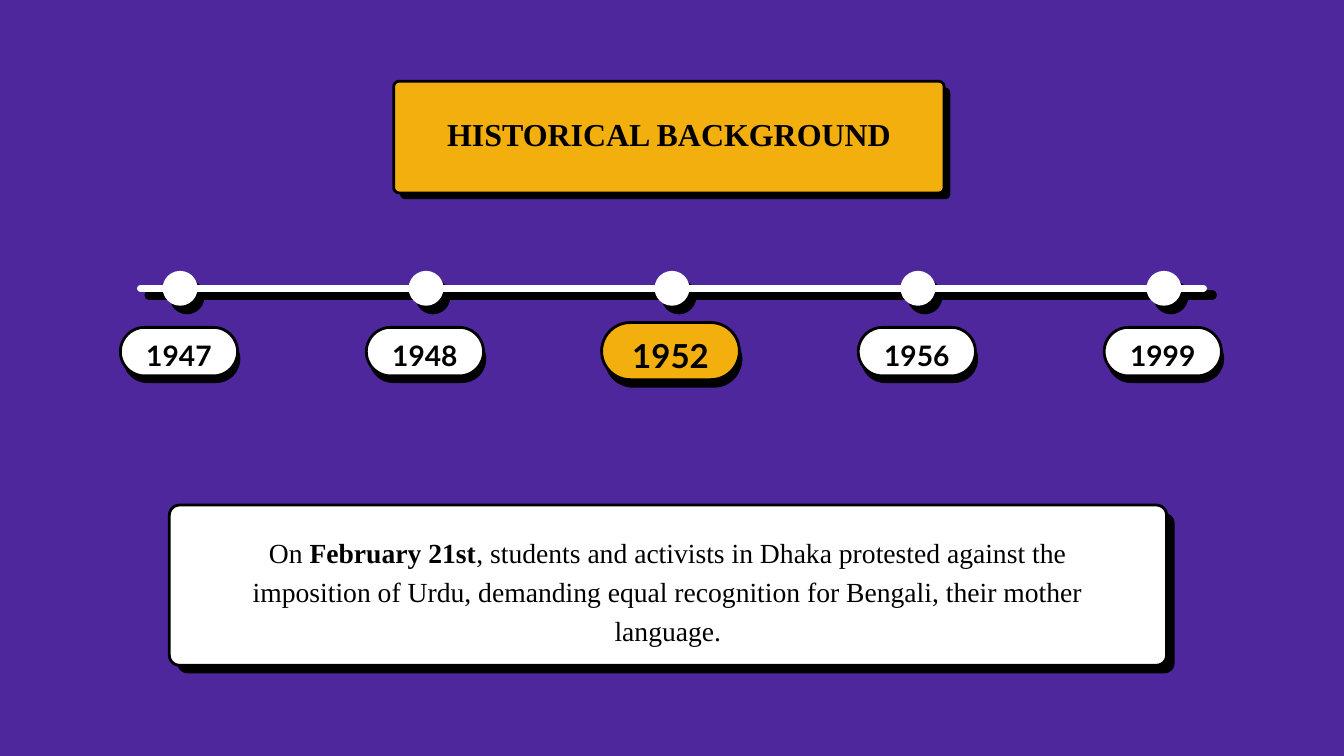
"""Build a timeline slide on the historical background of the language movement."""
from dataclasses import dataclass

from lxml import etree
from pptx import Presentation
from pptx.dml.color import RGBColor
from pptx.enum.shapes import MSO_CONNECTOR, MSO_SHAPE
from pptx.enum.text import PP_ALIGN
from pptx.oxml.ns import qn
from pptx.util import Pt

STRAIGHT = MSO_CONNECTOR.STRAIGHT
OVAL = MSO_SHAPE.OVAL
ROUNDED = MSO_SHAPE.ROUNDED_RECTANGLE
CENTER = PP_ALIGN.CENTER


@dataclass(frozen=True)
class Theme:
    purple: RGBColor = RGBColor(0x4F, 0x27, 0x9D)
    amber: RGBColor = RGBColor(0xF3, 0xAF, 0x0E)
    white: RGBColor = RGBColor(0xFF, 0xFF, 0xFF)
    black: RGBColor = RGBColor(0, 0, 0)
    serif: str = "Times New Roman"
    sans: str = "Lato"
    title_size: float = 34.2
    body_size: float = 29.6
    year_size: float = 30.2
    key_year_size: float = 35.4
    outline: float = 3


@dataclass(frozen=True)
class Run:
    text: str
    bold: bool = False


@dataclass(frozen=True)
class Label:
    runs: tuple[Run, ...]
    top: float
    width: float
    height: float
    font: str
    size: float
    leading: float


@dataclass(frozen=True)
class Card:
    center: float
    top: float
    width: float
    height: float
    radius: float
    shadow: tuple[float, float]
    fill: RGBColor
    label: Label


THEME = Theme()
YEARS = ("1947", "1948", "1952", "1956", "1999")
KEY_YEAR = "1952"
MIDDLE, STEP = 720, 263.52
AXIS_Y, DOT = 308.9, 37.4
DOT_SHADOW = (7.4, 9.2)

TITLE = Card(716.7, 87.1, 589.7, 119.6, 5.5, (6.7, 6.7), THEME.amber,
             Label((Run("HISTORICAL BACKGROUND", True),), 130.3, 517, 34.6,
                   THEME.serif, THEME.title_size, 33.9))
BODY = Card(715.7, 541.2, 1068.5, 171.6, 10.8, (8.6, 8.6), THEME.white,
            Label((Run("On "), Run("February 21st", True),
                   Run(", students and activists in Dhaka protested against the "
                       "imposition of Urdu, demanding equal recognition for Bengali, "
                       "their mother language.")), 568.8, 925.9, 124.6,
                  THEME.serif, THEME.body_size, 41.4))


def year_card(year: str, x: float) -> Card:
    """Describe the pill under a timeline dot."""
    runs = (Run(year, True),)
    if year == KEY_YEAR:
        return Card(x - 1.6, 345.6, 147.6, 61.2, 30.6, (3.2, 8.6), THEME.amber,
                    Label(runs, 359.3, 126, 43.2, THEME.sans, THEME.key_year_size, 42.5))
    return Card(x - 1.2, 350.8, 125.6, 52, 26, (2.9, 7.6), THEME.white,
                Label(runs, 362.9, 107.3, 36.7, THEME.sans, THEME.year_size, 36.2))


def add_shape(s, kind, x: float, y: float, w: float, h: float, fill: RGBColor):
    """Add a flat filled shape without an outline."""
    sp = s.shapes.add_shape(kind, Pt(x), Pt(y), Pt(w), Pt(h))
    sp.shadow.inherit = False
    sp.fill.solid()
    sp.fill.fore_color.rgb = fill
    sp.line.fill.background()
    return sp


def add_axis(s, x1: float, x2: float, y: float, color: RGBColor, width: float) -> None:
    """Add a horizontal line with round ends."""
    line = s.shapes.add_connector(STRAIGHT, Pt(x1), Pt(y), Pt(x2), Pt(y))
    line.line.color.rgb = color
    line.line.width = Pt(width)
    line.line._get_or_add_ln().set("cap", "rnd")
    etree.SubElement(line._element.spPr, qn("a:effectLst"))


def add_dots(s, centers: list[float], y: float, color: RGBColor) -> None:
    """Add one dot for each centre."""
    for x in centers:
        add_shape(s, OVAL, x - DOT / 2, y - DOT / 2, DOT, DOT, color)


def add_label(s, label: Label, center: float) -> None:
    """Add a centred text box."""
    box = s.shapes.add_textbox(Pt(center - label.width / 2), Pt(label.top),
                               Pt(label.width), Pt(label.height))
    tf = box.text_frame
    tf.word_wrap = True
    tf.margin_left = tf.margin_right = tf.margin_top = tf.margin_bottom = 0
    p = tf.paragraphs[0]
    p.alignment = CENTER
    p.line_spacing = Pt(label.leading)
    p.font.name = label.font
    p.font.size = Pt(label.size)
    p.font.color.rgb = THEME.black
    for run in label.runs:
        r = p.add_run()
        r.text = run.text
        r.font.bold = run.bold


def add_card(s, card: Card) -> None:
    """Add an outlined card over its offset shadow, with its label."""
    left = card.center - card.width / 2
    dx, dy = card.shadow
    back = add_shape(s, ROUNDED, left + dx, card.top + dy, card.width, card.height, THEME.black)
    front = add_shape(s, ROUNDED, left, card.top, card.width, card.height, card.fill)
    for sp in (back, front):
        sp.adjustments[0] = card.radius / card.height
    front.line.color.rgb = THEME.black
    front.line.width = Pt(THEME.outline)
    add_label(s, card.label, card.center)


def main() -> None:
    """Build and save the slide."""
    prs = Presentation()
    prs.slide_width, prs.slide_height = Pt(1440), Pt(810)
    s = prs.slides.add_slide(prs.slide_layouts[6])
    s.background.fill.solid()
    s.background.fill.fore_color.rgb = THEME.purple

    centers = [MIDDLE + (i - len(YEARS) // 2) * STEP for i in range(len(YEARS))]
    dx, dy = DOT_SHADOW
    add_axis(s, 159.8, 1298.9, 316.2, THEME.black, 10)
    add_dots(s, [x + dx for x in centers], AXIS_Y + dy, THEME.black)
    add_axis(s, 150.5, 1289.5, AXIS_Y, THEME.white, 7.5)
    add_dots(s, centers, AXIS_Y, THEME.white)

    for year, x in zip(YEARS, centers):
        add_card(s, year_card(year, x))
    add_card(s, BODY)
    add_card(s, TITLE)
    prs.save("out.pptx")


if __name__ == "__main__":
    main()
